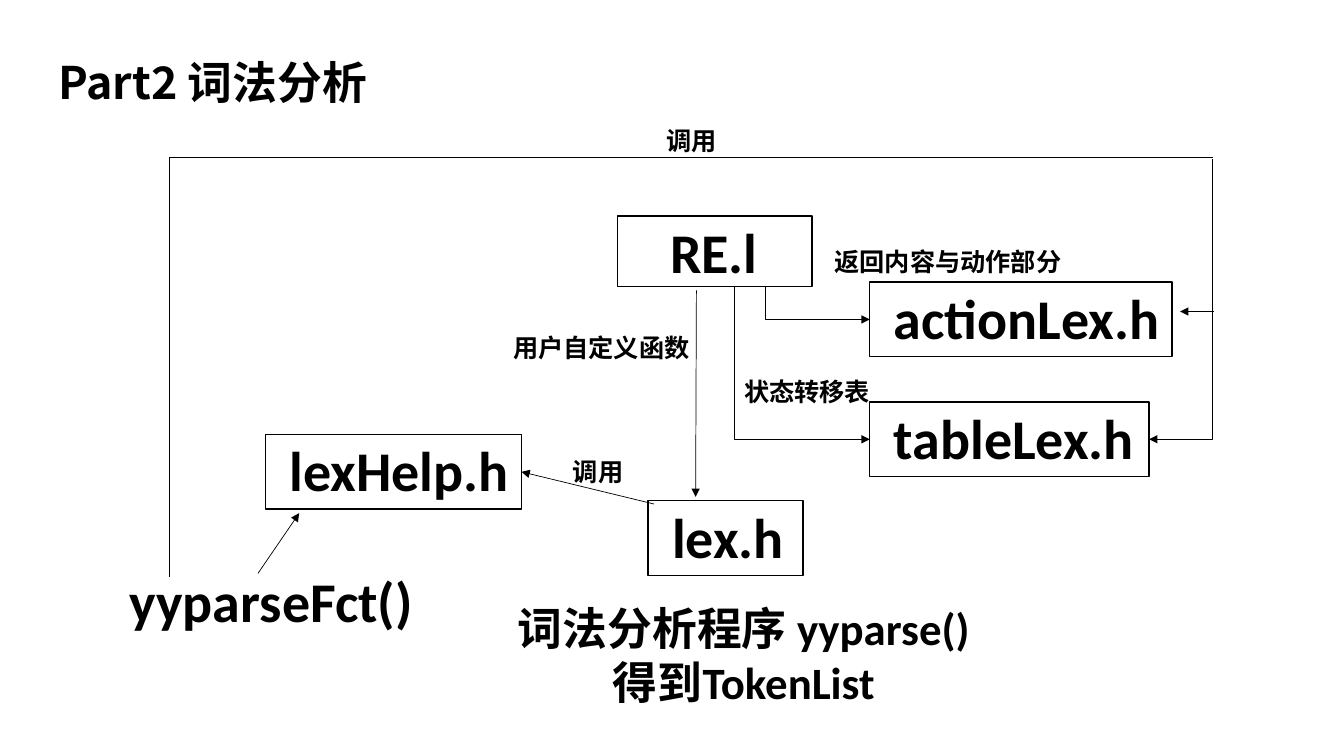
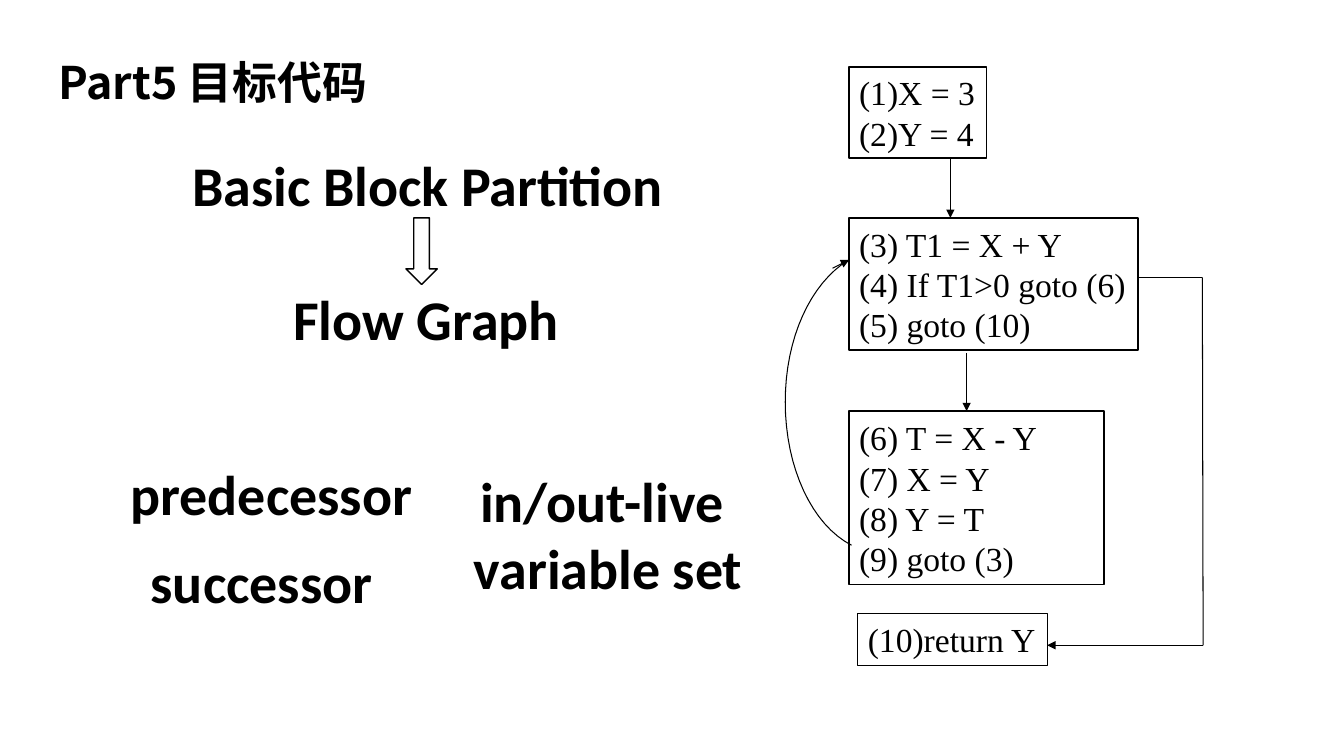
"""Build two compiler slides: lexical analysis modules and the flow graph of target code."""
import itertools

import pptx
import pptx.dml.color
import pptx.enum.shapes
import pptx.enum.text
import pptx.util
from lxml import etree
from pptx.oxml.ns import qn
from pptx.util import Cm, Pt

INK = pptx.dml.color.RGBColor(0x00, 0x00, 0x00)
PAPER = pptx.dml.color.RGBColor(0xFF, 0xFF, 0xFF)
BODY_FONT = "Calibri"
TITLE_FONT = "Noto Sans CJK SC"
CODE_FONT = "Times New Roman"
SHAPES = pptx.enum.shapes.MSO_SHAPE
CONNECTORS = pptx.enum.shapes.MSO_CONNECTOR
LEFT = pptx.enum.text.PP_ALIGN.LEFT
CENTER = pptx.enum.text.PP_ALIGN.CENTER
TOP = pptx.enum.text.MSO_ANCHOR.TOP
MIDDLE = pptx.enum.text.MSO_ANCHOR.MIDDLE
RIGHT_SIDE = 3


def write(holder, lines, size, font=BODY_FONT, bold=True, align=CENTER,
          anchor=MIDDLE, wrap=True, spacing=None):
    """Write lines of one style into a shape."""
    frame = holder.text_frame
    frame.word_wrap = wrap
    frame.vertical_anchor = anchor
    for number, line in enumerate(lines):
        paragraph = frame.add_paragraph() if number else frame.paragraphs[0]
        paragraph.alignment = align
        paragraph.line_spacing = spacing
        paragraph.font.name = font
        paragraph.font.size = Pt(size)
        paragraph.font.bold = bold
        paragraph.font.color.rgb = INK
        paragraph.add_run().text = line
    return frame


def add_text(slide, area, lines, size, **style):
    """Add a text box."""
    holder = slide.shapes.add_textbox(*map(Cm, area))
    return write(holder, lines, size, **style)


def add_title(slide, title):
    """Add the slide title, its CJK letters in the title font."""
    frame = add_text(slide, (1.22, 1.23, 8.43, 1.63), [title], 32, font=TITLE_FONT,
                     align=LEFT, anchor=TOP, spacing=Pt(39))
    run = frame.paragraphs[0].runs[0]
    run.font.name = TITLE_FONT
    east_asian = etree.SubElement(run.font._element, qn("a:ea"))
    east_asian.set("typeface", TITLE_FONT)


def add_outline(slide, area, weight=1, kind=SHAPES.RECTANGLE):
    """Add an unfilled shape with a black outline."""
    outline = slide.shapes.add_shape(kind, *map(Cm, area))
    outline.shadow.inherit = False
    outline.fill.background()
    outline.line.color.rgb = INK
    outline.line.width = Pt(weight)
    return outline


def add_module(slide, area, name, inset=0.61, lift=0.12):
    """Add a source file box."""
    module = add_outline(slide, area)
    frame = write(module, [name], 40, align=LEFT, wrap=False)
    frame.margin_left = Cm(inset)
    frame.margin_top = 0
    frame.margin_bottom = Cm(lift)
    return module


def add_block(slide, area, code, weight=1.25):
    """Add a basic block of code."""
    block = add_outline(slide, area, weight)
    write(block, code, 24, font=CODE_FONT, bold=False, align=LEFT,
          wrap=False, spacing=Pt(28.8))


def add_link(slide, start, end, weight=0.5, arrow=True, kind=CONNECTORS.STRAIGHT):
    """Add a connector, with an arrowhead at its end if wanted."""
    link = slide.shapes.add_connector(kind, *map(Cm, start + end))
    link.line.color.rgb = INK
    link.line.width = Pt(weight)
    etree.SubElement(link._element.spPr, qn("a:effectLst"))
    if arrow:
        head = etree.SubElement(link.line._get_or_add_ln(), qn("a:tailEnd"))
        head.set("type", "triangle")
    return link


def add_elbow(slide, start, end, arrow=True):
    """Add a connector that first runs vertically, then horizontally."""
    elbow = add_link(slide, start, end, arrow=arrow, kind=CONNECTORS.ELBOW)
    bends = elbow._element.spPr.find(qn("a:prstGeom")).find(qn("a:avLst"))
    bend = etree.SubElement(bends, qn("a:gd"))
    bend.set("name", "adj1")
    bend.set("fmla", "val 0")


def add_route(slide, points, weight):
    """Join points by straight lines, with an arrowhead at the last one."""
    for start, end in itertools.pairwise(points):
        add_link(slide, start, end, weight, arrow=end == points[-1])


def bezier(controls, steps=16):
    """Return points along a cubic curve, without its start."""
    weights = (1, 3, 3, 1)
    return [
        tuple(sum(weight * (1 - t) ** (3 - power) * t ** power * control[axis]
                  for power, (weight, control) in enumerate(zip(weights, controls)))
              for axis in (0, 1))
        for t in (step / steps for step in range(1, steps + 1))
    ]


def add_loop(slide, controls, weight):
    """Draw an open curve through chained cubic segments."""
    points = [point for first in range(0, len(controls) - 1, 3)
              for point in bezier(controls[first:first + 4])]
    builder = slide.shapes.build_freeform(*map(Cm, controls[0]))
    builder.add_line_segments([(Cm(x), Cm(y)) for x, y in points], close=False)
    loop = builder.convert_to_shape()
    loop.shadow.inherit = False
    loop.fill.background()
    loop.line.color.rgb = INK
    loop.line.width = Pt(weight)


def add_slide(deck, title):
    """Add a titled slide."""
    slide = deck.slides.add_slide(deck.slide_layouts[6])
    slide.background.fill.solid()
    slide.background.fill.fore_color.rgb = PAPER
    add_title(slide, title)
    return slide


def build_lexer(deck):
    """Build the map of lexer files and calls."""
    slide = add_slide(deck, "Part2 词法分析")
    add_text(slide, (12.6, 14.83, 12.29, 3.33),
             ["词法分析程序 yyparse()", "得到TokenList"], 32)
    add_module(slide, (15.57, 5.44, 4.9, 1.78), "RE.l", inset=1.32, lift=0)
    add_module(slide, (21.92, 10.13, 7.04, 1.88), "tableLex.h")
    add_module(slide, (21.92, 7.11, 7.62, 1.88), "actionLex.h")
    add_module(slide, (16.33, 12.62, 3.91, 1.88), "lex.h")
    helper = add_module(slide, (6.69, 10.95, 6.45, 1.88), "lexHelp.h")
    add_text(slide, (3.02, 14.15, 7.75, 1.96), ["yyparseFct()"], 40,
             align=LEFT, wrap=False)

    add_link(slide, (17.55, 7.32), (17.53, 12.52))
    add_link(slide, (6.5, 14.45), (7.54, 12.93))
    add_link(slide, (16.48, 12.7), (13.14, 11.89)).end_connect(helper, RIGHT_SIDE)
    add_link(slide, (30.6, 7.85), (29.74, 7.85))
    add_elbow(slide, (19.3, 7.22), (21.92, 8.05))
    add_elbow(slide, (18.5, 7.22), (21.92, 11.07))
    add_elbow(slide, (4.27, 14.55), (30.56, 3.97), arrow=False)
    add_elbow(slide, (30.56, 4.01), (28.96, 11.07))

    for area, label in (
        ((12.6, 8.16, 5.11, 1.17), "用户自定义函数"),
        ((20.65, 6, 6.48, 1.17), "返回内容与动作部分"),
        ((18.36, 9.27, 3.96, 1.17), "状态转移表"),
        ((13.87, 11.46, 2.41, 0.84), "调用"),
        ((16.22, 3.11, 2.41, 0.84), "调用"),
    ):
        add_text(slide, area, [label], 18)


def build_flow_graph(deck):
    """Build the basic blocks and their flow graph."""
    slide = add_slide(deck, "Part5 目标代码")
    add_block(slide, (21.4, 1.68, 3.46, 2.31), ["(1)X = 3", "(2)Y = 4"])
    add_block(slide, (21.4, 5.49, 7.29, 3.33),
              ["(3) T1 = X + Y", "(4) If T1>0 goto (6)", "(5) goto (10)"])
    add_block(slide, (21.4, 10.36, 6.43, 4.37),
              ["(6) T = X - Y", "(7) X = Y", "(8) Y = T", "(9) goto (3)"])
    add_block(slide, (21.62, 15.47, 4.78, 1.29), ["(10)return Y"], weight=0.75)

    for points in (
        [(23.95, 4.01), (23.95, 5.49)],
        [(24.36, 8.89), (24.36, 10.36)],
        [(28.7, 6.99), (30.3, 6.99), (30.32, 16.26), (26.39, 16.26)],
        [(20.98, 6.76), (21.4, 6.55)],
    ):
        add_route(slide, points, weight=0.75)
    add_loop(slide, [(21.46, 13.74), (20.47, 13.23), (19.79, 11.79), (19.79, 10.13),
                     (19.79, 8.53), (20.42, 7.14), (21.39, 6.55)], weight=0.75)

    add_outline(slide, (10.23, 5.49, 0.79, 1.68), kind=SHAPES.DOWN_ARROW)
    for area, lines in (
        ((1.48, 2.84, 18.59, 3.61), ["Basic Block Partition"]),
        ((1.44, 6.22, 18.59, 3.61), ["Flow Graph"]),
        ((1.57, 11.25, 10.54, 2.34), ["predecessor"]),
        ((1.73, 13.6, 9.73, 2.08), ["successor"]),
        ((10.06, 12.27, 10.54, 2.34), ["in/out-live ", "variable set"]),
    ):
        add_text(slide, area, lines, 40)


def main():
    """Build and save the deck."""
    deck = pptx.Presentation()
    deck.slide_width, deck.slide_height = Cm(33.87), Cm(19.05)
    build_lexer(deck)
    build_flow_graph(deck)
    deck.save("out.pptx")


if __name__ == "__main__":
    main()
